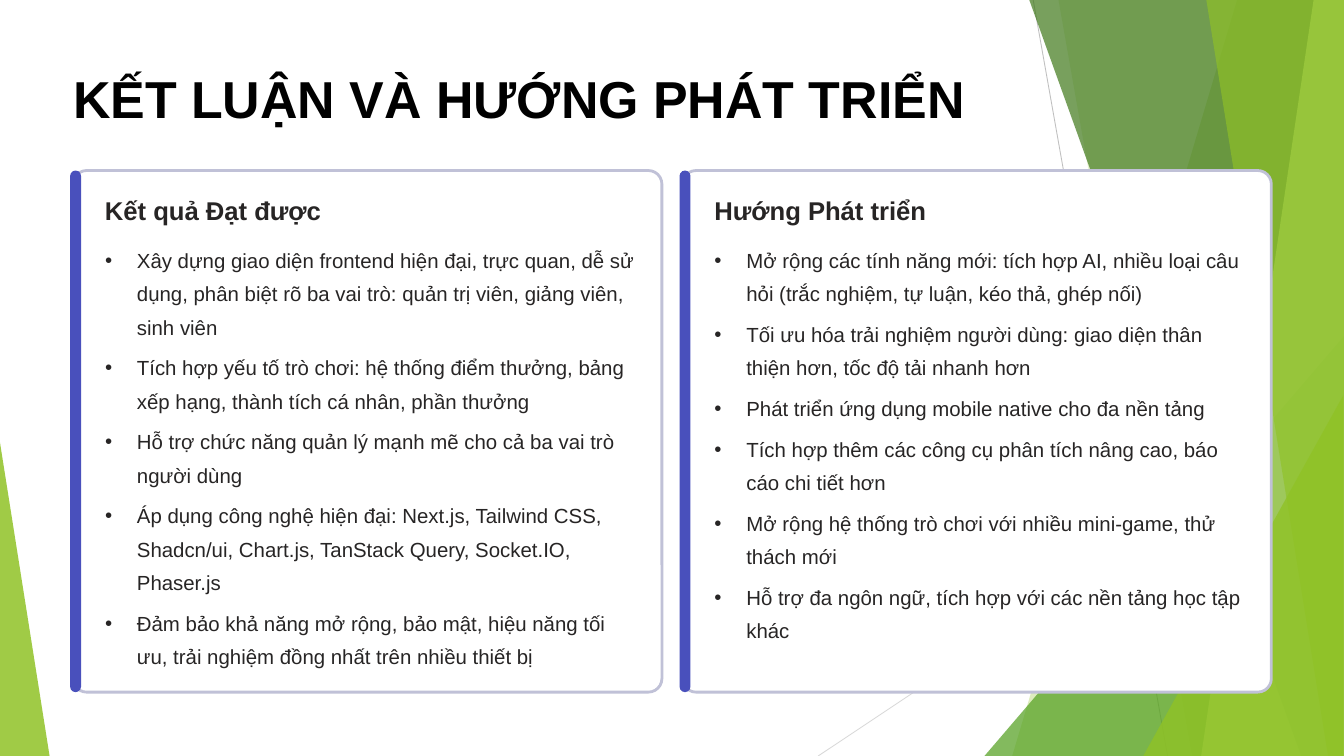
from lxml import etree
from pptx import Presentation
from pptx.dml.color import RGBColor
from pptx.enum import shapes as kinds, text as styles
from pptx.oxml.ns import qn
from pptx.util import Inches, Pt

TITLE = "KẾT LUẬN VÀ HƯỚNG PHÁT TRIỂN"
# Each card: heading, then bullets with the number of lines they fill
CARDS = [
    ("Kết quả Đạt được", [
        ("Xây dựng giao diện frontend hiện đại, trực quan, dễ sử dụng, phân biệt rõ ba vai trò: "
         "quản trị viên, giảng viên, sinh viên", 3),
        ("Tích hợp yếu tố trò chơi: hệ thống điểm thưởng, bảng xếp hạng, thành tích cá nhân, "
         "phần thưởng", 2),
        ("Hỗ trợ chức năng quản lý mạnh mẽ cho cả ba vai trò người dùng", 2),
        ("Áp dụng công nghệ hiện đại: Next.js, Tailwind CSS, Shadcn/ui, Chart.js, "
         "TanStack Query, Socket.IO, Phaser.js", 3),
        ("Đảm bảo khả năng mở rộng, bảo mật, hiệu năng tối ưu, trải nghiệm đồng nhất trên "
         "nhiều thiết bị", 2),
    ]),
    ("Hướng Phát triển", [
        ("Mở rộng các tính năng mới: tích hợp AI, nhiều loại câu hỏi (trắc nghiệm, tự luận, "
         "kéo thả, ghép nối)", 2),
        ("Tối ưu hóa trải nghiệm người dùng: giao diện thân thiện hơn, tốc độ tải nhanh hơn", 2),
        ("Phát triển ứng dụng mobile native cho đa nền tảng", 1),
        ("Tích hợp thêm các công cụ phân tích nâng cao, báo cáo chi tiết hơn", 2),
        ("Mở rộng hệ thống trò chơi với nhiều mini-game, thử thách mới", 2),
        ("Hỗ trợ đa ngôn ngữ, tích hợp với các nền tảng học tập khác", 2),
    ]),
]

COLORS = {
    "title": "000000", "body": "272525", "card": "FFFFFF", "border": "C0C1D7",
    "accent": "4950BC", "line": "BFBFBF", "pale line": "D9D9D9", "lime": "90C226",
    "green": "54A021", "dark green": "3F7819", "pale lime": "C0E474",
}
FORMATS = {
    "title": {"size": Pt(44.5), "bold": True},
    "heading": {"size": Pt(22), "bold": True},
    "bullet": {"size": Pt(17.5), "bold": False},
}
SPACING = {"title": 55.5, "heading": 27.5, "bullet": 28.5}

# Background: lines (color, from, to), then bands and triangles (color, opacity %, outline)
RAYS = [("line", (12.3, 0), (13.9, 9)), ("pale line", (16, 4.83), (9.74, 9))]
TOP, BOTTOM, RIGHT = -0.01, 9, 16
# A band runs from its top left corner to its bottom left corner and the right edge;
# a triangle is (left, top, width, height, apex).
FACETS = [
    ("lime", 30, (14.73, 12.05)),
    ("lime", 20, (12.6, 14.19)),
    ("green", 72, (11.72, 4, 4.28, 5, 1)),
    ("dark green", 70, (12.25, 15.49)),
    ("pale lime", 70, (15.64, 14.3)),
    ("lime", 65, (14.36, 15.81)),
    ("lime", 80, (13.61, 4.71, 2.38, 4.29, 1)),
    ("lime", 85, (0, 5.27, 0.59, 3.73, 0)),
]

CARD_LEFT, CARD_TOP, CARD_STEP = 0.87, 2.03, 7.255
CARD_WIDTH, CARD_HEIGHT = 7.01, 6.21
TEXT_INSET, TEXT_WIDTH = 0.38, 6.35
BULLET_TOP, BULLET_GAP, INDENT = 2.85, 0.09, 0.38
LINE_HEIGHT = SPACING["bullet"] / 72


def color(name):
    return RGBColor.from_string(COLORS[name])


def paint(shape, fill, opacity=100, border=None):
    shape.shadow.inherit = False
    shape.fill.solid()
    shape.fill.fore_color.rgb = color(fill)
    if opacity < 100:
        fill_color = shape.fill._xPr.find(qn("a:solidFill"))[0]
        etree.SubElement(fill_color, qn("a:alpha"), val=str(opacity * 1000))
    if border:
        shape.line.color.rgb = color(border)
        shape.line.width = Pt(2.4)
    else:
        shape.line.fill.background()


def add_preset(slide, kind, box, adjustment):
    shape = slide.shapes.add_shape(kind, *map(Inches, box))
    shape.adjustments[0] = adjustment
    return shape


def write(shape, content, style, wrap=True):
    """Set the text of a shape with the named style and no insets."""
    frame = shape.text_frame
    settings = {"word_wrap": wrap, "auto_size": styles.MSO_AUTO_SIZE.NONE,
                "vertical_anchor": styles.MSO_ANCHOR.TOP, "margin_left": 0,
                "margin_top": 0, "margin_right": 0, "margin_bottom": 0}
    for name, value in settings.items():
        setattr(frame, name, value)
    paragraph = frame.paragraphs[0]
    paragraph.alignment = styles.PP_ALIGN.LEFT
    paragraph.line_spacing = Pt(SPACING[style])
    run = paragraph.add_run()
    run.text = content
    run.font.name = "Arial"
    run.font.color.rgb = color("title" if style == "title" else "body")
    for name, value in FORMATS[style].items():
        setattr(run.font, name, value)
    return paragraph


def add_text(slide, box, content, style, wrap=True):
    return write(slide.shapes.add_textbox(*map(Inches, box)), content, style, wrap)


def add_bullet(paragraph):
    properties = paragraph._p.get_or_add_pPr()
    properties.set("marL", str(Inches(INDENT)))
    properties.set("indent", str(-Inches(INDENT)))
    etree.SubElement(properties, qn("a:buFont"), typeface="Arial")
    etree.SubElement(properties, qn("a:buChar"), char="•")


def add_background(slide):
    for name, start, end in RAYS:
        ray = slide.shapes.add_connector(
            kinds.MSO_CONNECTOR.STRAIGHT, *map(Inches, start + end))
        ray.line.color.rgb = color(name)
        ray.line.width = Pt(0.75)
        etree.SubElement(ray._element.spPr, qn("a:effectLst"))
    for name, opacity, outline in FACETS:
        if len(outline) == 2:
            upper, lower = outline
            corners = [(upper, TOP), (RIGHT, TOP), (RIGHT, BOTTOM), (lower, BOTTOM)]
            points = [(Inches(x), Inches(y)) for x, y in corners]
            builder = slide.shapes.build_freeform(*points[0])
            builder.add_line_segments(points[1:], close=True)
            facet = builder.convert_to_shape()
        else:
            facet = add_preset(slide, kinds.MSO_SHAPE.ISOSCELES_TRIANGLE,
                               outline[:4], outline[4])
        paint(facet, name, opacity)


def add_card(slide, left, heading, bullets):
    rounded = kinds.MSO_SHAPE.ROUNDED_RECTANGLE
    card = add_preset(slide, rounded, (left, CARD_TOP, CARD_WIDTH, CARD_HEIGHT), 0.026)
    paint(card, "card", border="border")
    bar = add_preset(slide, rounded, (left - 0.035, CARD_TOP, 0.13, CARD_HEIGHT), 0.5)
    paint(bar, "accent")

    text_left = left + TEXT_INSET
    add_text(slide, (text_left, 2.31, 3.1, 0.39), heading, "heading", wrap=False)
    top = BULLET_TOP
    for content, lines in bullets:
        height = lines * LINE_HEIGHT
        add_bullet(add_text(slide, (text_left, top, TEXT_WIDTH, height), content, "bullet"))
        top += height + BULLET_GAP


def main():
    presentation = Presentation()
    presentation.slide_width, presentation.slide_height = Inches(16), Inches(9)
    slide = presentation.slides.add_slide(presentation.slide_layouts[5])
    add_background(slide)

    title = slide.shapes.title
    title.left, title.top, title.width, title.height = map(Inches, (0.87, 0.76, 14.09, 0.78))
    write(title, TITLE, "title", wrap=False)

    for index, (heading, bullets) in enumerate(CARDS):
        add_card(slide, CARD_LEFT + index * CARD_STEP, heading, bullets)
    presentation.save("out.pptx")


if __name__ == "__main__":
    main()
